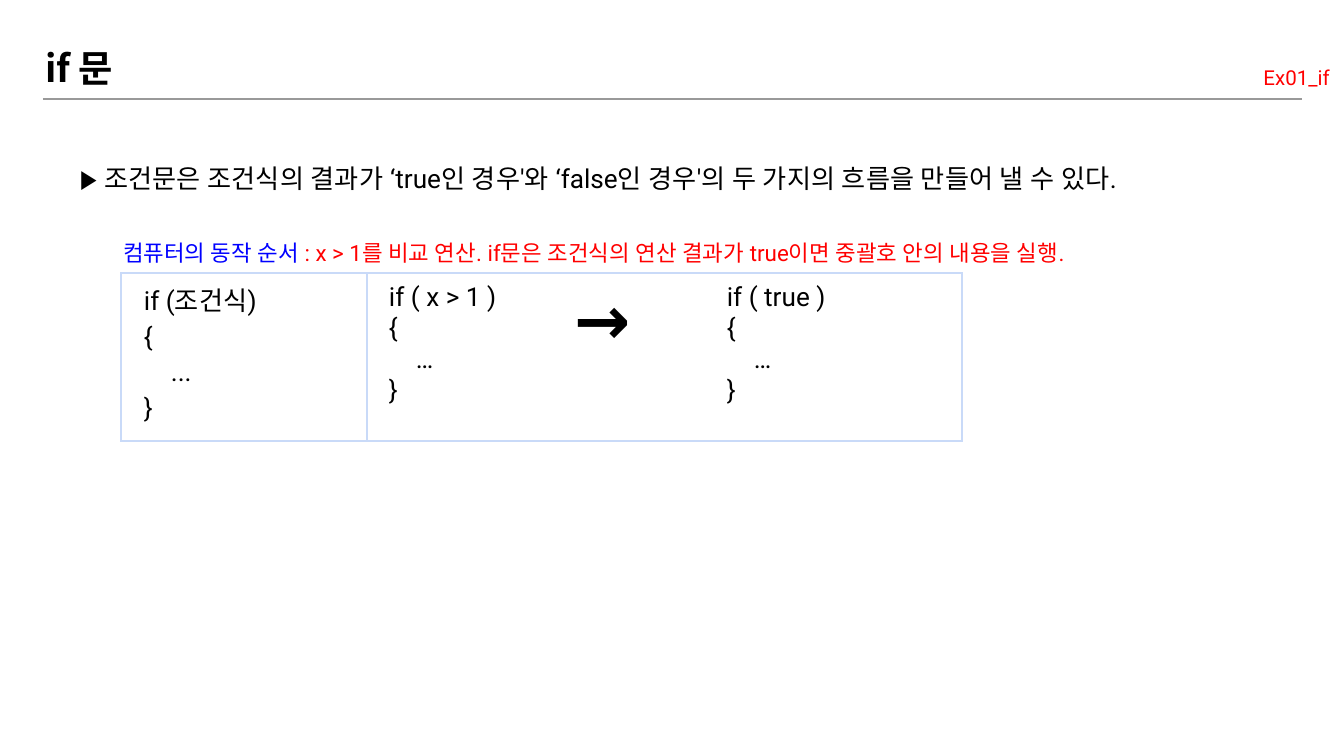
from lxml.etree import SubElement
from pptx import Presentation
from pptx.dml.color import RGBColor
from pptx.enum.shapes import MSO_CONNECTOR
from pptx.enum.text import PP_ALIGN
from pptx.oxml import parse_xml
from pptx.oxml.ns import nsdecls, qn
from pptx.util import Pt

PX = 9144000 / 1344
BLACK, RED, BLUE, GRAY, BORDER = "000000", "FF0000", "0000FF", "999999", "C9DAF8"


def px(n):
    return round(n * PX)


def add_run(p, text, size, color=BLACK, font="Roboto", bold=False):
    r = p.add_run()
    r.text = text
    r.font.size = Pt(size)
    r.font.bold = bold
    r.font.color.rgb = RGBColor.from_string(color)
    r.font.name = font
    SubElement(r.font._element, qn("a:ea"), typeface=font)


prs = Presentation()
prs.slide_width, prs.slide_height = px(1344), px(756)
s = prs.slides.add_slide(prs.slide_layouts[6])

rule = s.shapes.add_connector(MSO_CONNECTOR.STRAIGHT, px(43), px(99), px(1302), px(99))
rule.line.color.rgb = RGBColor.from_string(GRAY)
rule.line.width = Pt(0.75)
SubElement(rule._element.spPr, qn("a:effectLst"))

# Each text box: position, line spacing, alignment, runs
boxes = [
    ((32, 32, 1105, 73), 1, PP_ALIGN.LEFT,
     [("if 문", 20, BLACK, "Noto Sans CJK KR", True)]),
    ((67, 145, 1195, 59), 1.15, PP_ALIGN.LEFT,
     [("▶ ", 14, BLACK, "Arial"),
      ("조건문은 조건식의 결과가 ‘true인 경우'와 ‘false인 경우'의 "
       "두 가지의 흐름을 만들어 낼 수 있다.", 14)]),
    ((110, 226, 1082, 54), 1, PP_ALIGN.LEFT,
     [("컴퓨터의 동작 순서", 12, BLUE),
      (" : x > 1를 비교 연산. if문은 조건식의 연산 결과가 true이면 "
       "중괄호 안의 내용을 실행.", 12, RED)]),
    ((902, 48, 441, 52), 1.15, PP_ALIGN.RIGHT, [("Ex01_if", 11, RED)]),
]
for box, spacing, align, runs in boxes:
    tf = s.shapes.add_textbox(*map(px, box)).text_frame
    tf.word_wrap = True
    tf.margin_left = tf.margin_right = tf.margin_top = tf.margin_bottom = px(13)
    p = tf.paragraphs[0]
    p.alignment = align
    p.line_spacing = spacing
    for run in runs:
        add_run(p, *run)

# Each table cell: column width, left margin, line spacing, size, bold, sides, lines
cells = [
    (246, 23, 1.15, 14, False, "LRTB", ["if (조건식)", "{", "...", "}"]),
    (198, 22, 1, 14, False, "LTB", ["if ( x > 1 )", "{", "…", "}"]),
    (152, 10, 1, 36, True, "TB", ["→"]),
    (245, 10, 1, 14, False, "RTB", ["if ( true )", "{", "…", "}"]),
]
table = s.shapes.add_table(1, len(cells), px(121), px(273),
                           px(sum(c[0] for c in cells)), px(168)).table
table.first_row = table.horz_banding = False
for i, (width, margin, spacing, size, bold, sides, lines) in enumerate(cells):
    table.columns[i].width = px(width)
    cell = table.cell(0, i)
    cell.margin_left = px(margin)
    cell.margin_right = cell.margin_top = cell.margin_bottom = px(9)
    tf = cell.text_frame
    for n, line in enumerate(lines):
        p = tf.add_paragraph() if n else tf.paragraphs[0]
        p.line_spacing = spacing
        add_run(p, line, size, bold=bold)
        if line in ("...", "…"):
            p._p.get_or_add_pPr().set("marL", str(px(27)))
    tcPr = cell._tc.get_or_add_tcPr()
    for side in "LRTB":
        paint = (f'<a:solidFill><a:srgbClr val="{BORDER}"/></a:solidFill>'
                 if side in sides else "<a:noFill/>")
        tcPr.append(parse_xml(
            f'<a:ln{side} {nsdecls("a")} w="{Pt(1)}">{paint}</a:ln{side}>'))
    cell.fill.background()

prs.save("out.pptx")
